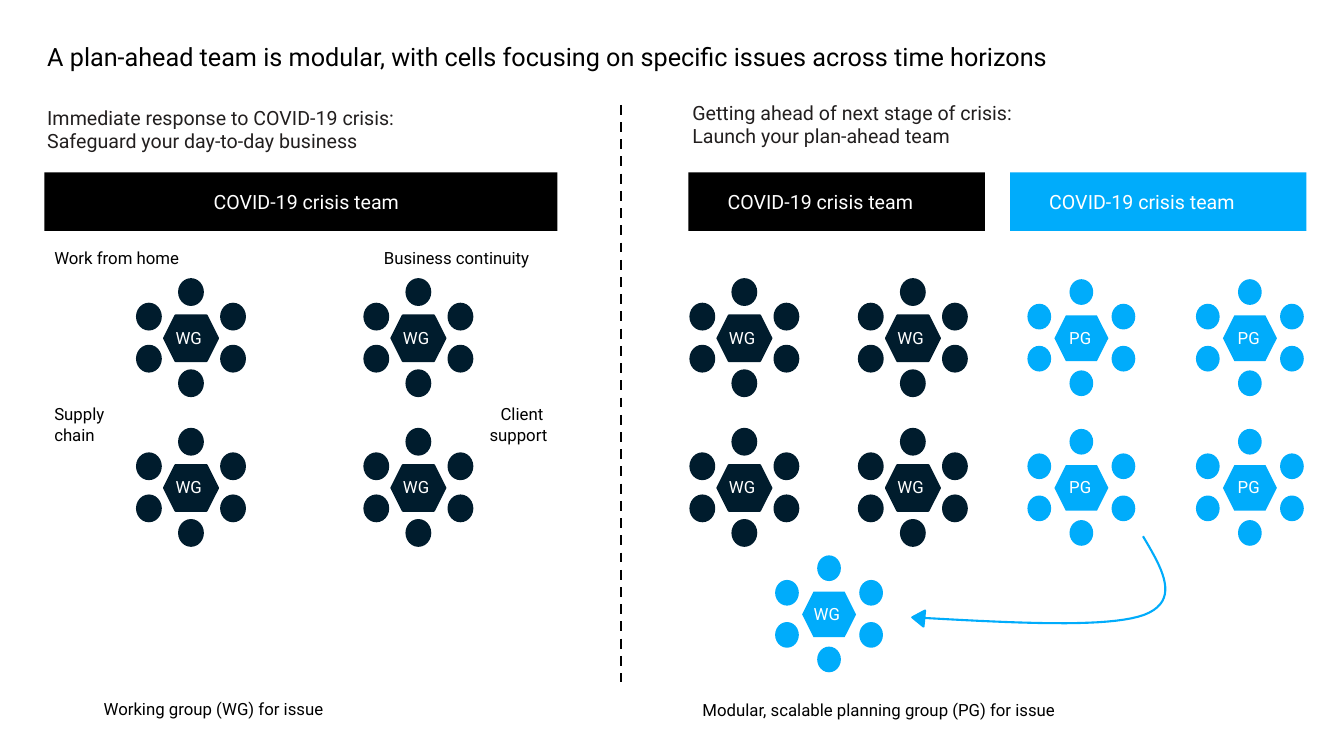
import pptx
import pptx.util
import pptx.oxml
import pptx.dml.color
import pptx.enum.dml
import pptx.enum.shapes
import pptx.enum.text
from dataclasses import dataclass

SHAPE = pptx.enum.shapes.MSO_SHAPE
ALIGN = pptx.enum.text.PP_ALIGN


@dataclass(frozen=True)
class Theme:
    font: str = "Roboto"
    black: str = "000000"
    ink: str = "221F1F"
    navy: str = "001C2D"
    blue: str = "00ACFB"
    white: str = "FFFFFF"
    title: int = 18
    head: int = 14
    body: int = 12
    line: float = 1.5
    rule: float = 1.75


THEME = Theme()
COLS, ROWS = 160, 90
WIDE, HIGH = pptx.util.Inches(13.333), pptx.util.Inches(7.5)


def grid(x, y):
    """Turn columns and rows into slide units."""
    return round(x * WIDE / COLS), round(y * HIGH / ROWS)


def place(box):
    x, y, w, h = box
    return *grid(x, y), *grid(w, h)


def shift(box, dx, dy, w, h):
    return box[0] + dx, box[1] + dy, w, h


def share(box, x, y, w, h):
    return shift(box, x * box[2], y * box[3], w * box[2], h * box[3])


def rgb(code):
    return pptx.dml.color.RGBColor.from_string(code)


def write(shape, lines, size, color, wrap=False, align=ALIGN.LEFT):
    frame = shape.text_frame
    frame.word_wrap = wrap
    frame.auto_size = pptx.enum.text.MSO_AUTO_SIZE.SHAPE_TO_FIT_TEXT
    for i, line in enumerate(lines):
        para = frame.paragraphs[0] if i == 0 else frame.add_paragraph()
        para.alignment = align
        run = para.add_run()
        run.text = line
        run.font.name = THEME.font
        run.font.size = pptx.util.Pt(size)
        run.font.color.rgb = rgb(color)


def text(shapes, box, lines, size=THEME.body, color=THEME.black, **style):
    write(shapes.add_textbox(*place(box)), lines, size, color, **style)


def stroke(line, color, width):
    line.color.rgb = rgb(color)
    line.width = pptx.util.Pt(width)


def solid(shapes, kind, box, fill, edge=False):
    shape = shapes.add_shape(kind, *place(box))
    shape.shadow.inherit = False
    shape.fill.solid()
    shape.fill.fore_color.rgb = rgb(fill)
    if edge:
        stroke(shape.line, fill, THEME.line)
    else:
        shape.line.fill.background()
    return shape


def banner(shapes, box, inset, fill):
    """Bar with its team name."""
    parts = shapes.add_group_shape().shapes
    solid(parts, SHAPE.RECTANGLE, box, fill)
    label = solid(parts, SHAPE.RECTANGLE, shift(box, inset, 1.5, 25.44, 4.08), fill)
    write(label, ["COVID-19 crisis team"], THEME.head, THEME.white)


def cell(shapes, box, name, fill):
    """Hexagon table with six seats around it."""
    edge = fill == THEME.navy
    parts = shapes.add_group_shape().shapes
    solid(parts, SHAPE.HEXAGON, share(box, 0.25, 0.31, 0.5, 0.39), fill, edge)
    seats = [(0.39, 0), (0, 0.21), (0.78, 0.21), (0.78, 0.57), (0, 0.57), (0.39, 0.78)]
    for x, y in seats:
        solid(parts, SHAPE.OVAL, share(box, x, y, 0.22, 0.22), fill, edge)
    wide = 0.45 if name == "WG" else 0.39
    text(parts, share(box, 0.49 - wide / 2, 0.37, wide, 0.26), [name], color=THEME.white)


def cells(shapes, box, pitch, names):
    """Two rows of cells; each column has a name and a fill."""
    for row in range(2):
        for col, (name, fill) in enumerate(names):
            spot = shift(box, col * pitch, row * 17.82, 12.84, 13.92)
            cell(shapes, spot, name, fill)


def arrow(shapes, box):
    """Curved arrow from a planning cell to the new working cell."""
    knots = [(54.12, 51.84), (56.4, 55.68), (58.68, 59.52), (54.24, 61.2),
             (49.92, 62.76), (38.88, 62.16), (27.96, 61.56)]
    steps = 20
    dots = []
    for first in (0, 3):
        for step in range(steps + 1):
            t = step / steps
            mix = ((1 - t) ** 3, 3 * t * (1 - t) ** 2, 3 * t * t * (1 - t), t ** 3)
            spot = [sum(m * k[axis] for m, k in zip(mix, knots[first:first + 4]))
                    for axis in (0, 1)]
            dots.append(grid(box[0] + spot[0], box[1] + spot[1]))
    pen = shapes.build_freeform(*dots[0])
    pen.add_line_segments(dots[1:], close=False)
    curve = pen.convert_to_shape()
    curve.shadow.inherit = False
    curve.fill.background()
    stroke(curve.line, THEME.blue, THEME.line)
    tip = shift(box, 26.4, 60.84, 1.92, 1.44)
    solid(shapes, SHAPE.ISOSCELES_TRIANGLE, tip, THEME.blue, True).rotation = 275.6


def present(shapes, box):
    """Left panel: immediate response."""
    text(shapes, shift(box, -0.84, 0, 45.96, 6.84),
         ["Immediate response to COVID-19 crisis:", "Safeguard your day-to-day business"],
         THEME.head, THEME.ink)
    banner(shapes, shift(box, 0, 8.52, box[2], 6.96), 18.96, THEME.black)
    text(shapes, shift(box, 0, 16.92, 17.76, 3.6), ["Work from home"])
    text(shapes, shift(box, 39.24, 16.92, 19.8, 3.6), ["Business continuity"])
    text(shapes, shift(box, 0, 35.52, 19.56, 6), ["Supply", "chain"], wrap=True)
    text(shapes, shift(box, 51.6, 35.52, 9.48, 6), ["Client ", "support"], align=ALIGN.RIGHT)
    cells(shapes, shift(box, 11.04, 21.24, 0, 0), 27.07, [("WG", THEME.navy)] * 2)
    text(shapes, shift(box, 5.88, 70.56, 29.52, 3.6), ["Working group (WG) for issue"])


def future(shapes, box):
    """Right panel: plan-ahead team."""
    text(shapes, shift(box, -0.72, -0.6, 41.88, 6.84),
         ["Getting ahead of next stage of crisis:", "Launch your plan-ahead team"],
         THEME.head, THEME.ink)
    for x, fill in ((0, THEME.black), (38.28, THEME.blue)):
        banner(shapes, shift(box, x, 8.52, 35.28, 6.96), 3.48, fill)
    cells(shapes, shift(box, 0.24, 21.24, 0, 0), 20.06,
          [("WG", THEME.navy)] * 2 + [("PG", THEME.blue)] * 2)
    cell(shapes, shift(box, 10.32, 54.12, 12.84, 13.92), "WG", THEME.blue)
    arrow(shapes, box)
    text(shapes, shift(box, 0.48, 70.68, 45.36, 3.6),
         ["Modular, scalable planning group (PG) for issue"])


def divide(shapes, box):
    """Dashed rule between the panels."""
    x, y, _, h = box
    rule = shapes.add_connector(pptx.enum.shapes.MSO_CONNECTOR.STRAIGHT,
                                *grid(x, y), *grid(x, y + h))
    stroke(rule.line, THEME.black, THEME.rule)
    rule.line.dash_style = pptx.enum.dml.MSO_LINE.DASH
    props = rule.line._get_or_add_ln().getparent()
    props.append(pptx.oxml.parse_xml(
        '<a:effectLst xmlns:a="http://schemas.openxmlformats.org/drawingml/2006/main"/>'))


def main():
    deck = pptx.Presentation()
    deck.slide_width, deck.slide_height = WIDE, HIGH
    shapes = deck.slides.add_slide(deck.slide_layouts[6]).shapes
    text(shapes, (4.44, 4.32, 151.2, 4.8),
         ["A plan-ahead team is modular, with cells focusing on specific issues across time horizons"],
         THEME.title, wrap=True)
    present(shapes, (5.28, 12, 61.08, 74))
    divide(shapes, (73.92, 12.48, 0, 68.76))
    future(shapes, (81.96, 12, 73.56, 74))
    deck.save("out.pptx")


if __name__ == "__main__":
    main()
